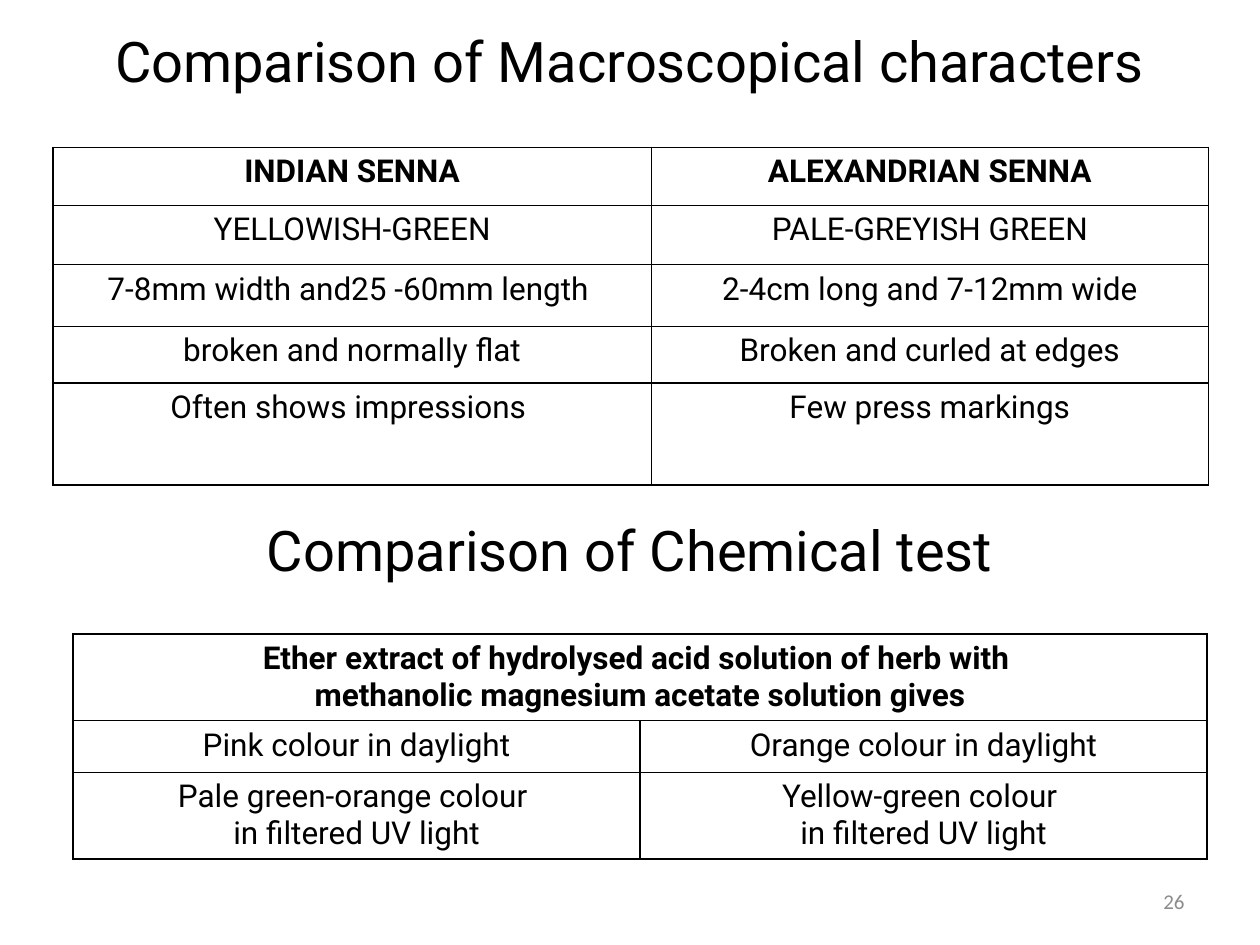
from lxml import etree
from pptx import Presentation
from pptx.dml.color import RGBColor
from pptx.enum.text import MSO_ANCHOR, MSO_AUTO_SIZE, PP_ALIGN
from pptx.oxml.ns import qn
from pptx.util import Inches, Pt

CENTER, RIGHT = PP_ALIGN.CENTER, PP_ALIGN.RIGHT
MIDDLE, TOP = MSO_ANCHOR.MIDDLE, MSO_ANCHOR.TOP
NO_AUTOFIT = MSO_AUTO_SIZE.NONE
COLORS = {"text": "000000", "border": "000000", "number": "8C8C8C"}
TITLE_ONLY = 5

CHARACTERS = [
    ["INDIAN SENNA", "ALEXANDRIAN SENNA"],
    ["YELLOWISH-GREEN", "PALE-GREYISH GREEN"],
    ["7-8mm width and25 -60mm length ", "2-4cm long and 7-12mm wide"],
    ["broken and normally flat", "Broken and curled at edges"],
    ["Often shows impressions ", "Few press markings"],
]
CHEMICAL_TESTS = [
    ["Ether extract of hydrolysed acid solution of herb with \n"
     "methanolic magnesium acetate solution gives"],
    ["Pink colour in daylight", "Orange colour in daylight"],
    ["Pale green-orange colour \nin filtered UV light",
     "Yellow-green colour \nin filtered UV light"],
]


def write_text(frame, text, size=18, font="Roboto", color="text", bold=False, align=CENTER):
    """Fill a text frame, one paragraph for each line of text."""
    frame.word_wrap = True
    frame.text = text
    for paragraph in frame.paragraphs:
        paragraph.alignment = align
        for run in paragraph.runs:
            run.font.size = Pt(size)
            run.font.name = font
            run.font.bold = bold
            run.font.color.rgb = RGBColor.from_string(COLORS[color])


def format_heading(shape, box, text):
    shape.left, shape.top, shape.width, shape.height = map(Inches, box)
    write_text(shape.text_frame, text, size=32)
    shape.text_frame.auto_size = NO_AUTOFIT
    shape.text_frame.vertical_anchor = MIDDLE


def add_text_box(slide, box):
    return slide.shapes.add_textbox(*map(Inches, box))


def add_borders(cell, width=1):
    properties = cell._tc.get_or_add_tcPr()
    for index, side in enumerate(("lnL", "lnR", "lnT", "lnB")):
        line = etree.Element(qn(f"a:{side}"), w=str(Pt(width)))
        fill = etree.SubElement(line, qn("a:solidFill"))
        etree.SubElement(fill, qn("a:srgbClr"), val=COLORS["border"])
        properties.insert(index, line)


def add_comparison_table(slide, box, rows, column_widths, row_heights):
    """Add a two-column table; a row with a single text spans both columns."""
    frame = slide.shapes.add_table(len(rows), len(column_widths), *map(Inches, box))
    table = frame.table
    table.first_row = table.horz_banding = False
    for column, width in zip(table.columns, column_widths):
        column.width = Inches(width)
    for row, height in zip(table.rows, row_heights):
        row.height = Inches(height)
    for row_index, texts in enumerate(rows):
        if len(texts) == 1:
            table.cell(row_index, 0).merge(table.cell(row_index, len(column_widths) - 1))
        for column_index, text in enumerate(texts):
            write_text(table.cell(row_index, column_index).text_frame, text,
                       bold=row_index == 0)
    for cell in table.iter_cells():
        cell.vertical_anchor = TOP
        cell.fill.background()
        add_borders(cell)


def add_slide_number(slide, box, number):
    shape = add_text_box(slide, box)
    write_text(shape.text_frame, number, size=12, font="Calibri", color="number", align=RIGHT)
    shape.text_frame.vertical_anchor = MIDDLE


def main():
    presentation = Presentation()
    presentation.slide_width, presentation.slide_height = Inches(10), Inches(7.5)
    slide = presentation.slides.add_slide(presentation.slide_layouts[TITLE_ONLY])

    format_heading(slide.shapes.title, (0.5, 0.17, 9, 0.61),
                   "Comparison of Macroscopical characters")
    add_comparison_table(slide, (0.42, 1.17, 9.17, 2.68), CHARACTERS,
                         (4.75, 4.42), (0.46, 0.47, 0.49, 0.45, 0.81))
    heading_box = (0.5, 4.05, 9, 0.61)
    format_heading(add_text_box(slide, heading_box), heading_box,
                   "Comparison of Chemical test")
    add_comparison_table(slide, (0.58, 5.03, 9, 1.79), CHEMICAL_TESTS,
                         (4.5, 4.5), (0.69, 0.41, 0.69))
    add_slide_number(slide, (7.17, 6.95, 2.33, 0.4), "26")
    presentation.save("out.pptx")


if __name__ == "__main__":
    main()
